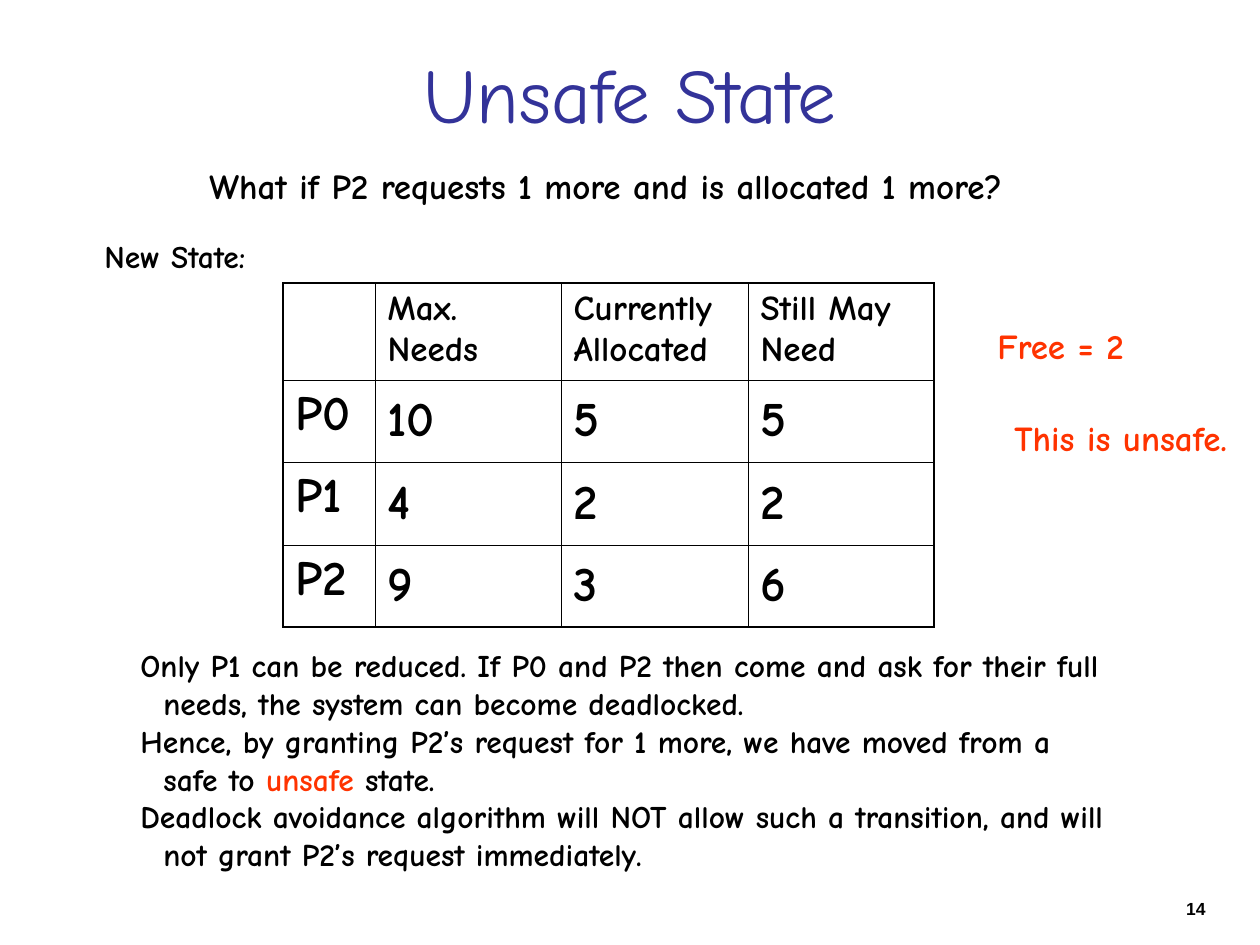
from lxml import etree
from pptx import Presentation
from pptx.dml.color import RGBColor
from pptx.enum.text import MSO_ANCHOR, MSO_AUTO_SIZE, PP_ALIGN
from pptx.oxml.ns import qn
from pptx.util import Pt

LEFT, CENTER, RIGHT = PP_ALIGN.LEFT, PP_ALIGN.CENTER, PP_ALIGN.RIGHT
TOP, MIDDLE = MSO_ANCHOR.TOP, MSO_ANCHOR.MIDDLE
GROW, FIXED = MSO_AUTO_SIZE.SHAPE_TO_FIT_TEXT, MSO_AUTO_SIZE.NONE

EMU_PER_PIXEL = 914400 / 126
COMIC = "Comic Neue"
BLACK, INDIGO, ORANGE = "000000", "333399", "FF3300"
OUTER_WIDTH, INNER_WIDTH = 1.08, 0.45

STATE_ROWS = [
    ["", "Max. Needs", "Currently Allocated", "Still May Need"],
    ["P0", "10", "5", "5"],
    ["P1", "4", "2", "2"],
    ["P2", "9", "3", "6"],
]
COLUMN_WIDTHS = [92, 186, 187, 186]
ROW_HEIGHTS = [97, 82, 83, 82]

# Each line holds its indent and its (text, colour) runs.
CONCLUSION = [
    (0, [("Only P1 can be reduced. If P0 and P2 then come and ask for their full", BLACK)]),
    (23, [("needs, the system can become deadlocked.", BLACK)]),
    (0, [("Hence, by granting P2’s request for 1 more, we have moved from a", BLACK)]),
    (23, [("safe to ", BLACK), ("unsafe", ORANGE), (" state.", BLACK)]),
    (0, [("Deadlock avoidance algorithm will NOT allow such a transition, and will", BLACK)]),
    (23, [("not grant P2’s request immediately.", BLACK)]),
]


def px(pixels):
    """Turn pixels into EMU."""
    return round(pixels * EMU_PER_PIXEL)


def rgb(hex_color):
    """Turn a hex string into a colour."""
    return RGBColor.from_string(hex_color)


def set_attributes(target, values):
    """Set every attribute named in a dict."""
    for name, value in values.items():
        setattr(target, name, value)


def add_run(paragraph, text, size, color=BLACK, font=COMIC, bold=True):
    """Append one formatted run."""
    run = paragraph.add_run()
    run.text = text
    set_attributes(run.font, {"size": Pt(size), "name": font, "bold": bold})
    run.font.color.rgb = rgb(color)


def add_label(slide, box, lines, size, wrap=False, align=LEFT, font=COMIC):
    """Add a text box with one paragraph for each indented line."""
    frame = slide.shapes.add_textbox(*map(px, box)).text_frame
    set_attributes(frame, {"word_wrap": wrap, "auto_size": FIXED if wrap else GROW,
                           "vertical_anchor": TOP})
    for index, (indent, runs) in enumerate(lines):
        paragraph = frame.add_paragraph() if index else frame.paragraphs[0]
        paragraph.alignment = align
        if indent:
            paragraph._p.get_or_add_pPr().set("marL", str(px(indent)))
        for text, color in runs:
            add_run(paragraph, text, size, color, font)


def set_title(slide, text):
    """Place and format the title placeholder."""
    title = slide.shapes.title
    set_attributes(title, dict(zip(("left", "top", "width", "height"),
                                   map(px, (63, 38, 1134, 110)))))
    title.text_frame.vertical_anchor = MIDDLE
    paragraph = title.text_frame.paragraphs[0]
    paragraph.alignment = CENTER
    add_run(paragraph, text, 44, INDIGO, bold=False)


def set_borders(cell, outer_sides):
    """Draw the four cell borders, heavier on the table's outside."""
    properties = cell._tc.get_or_add_tcPr()
    for side in "LRTB":
        width = OUTER_WIDTH if side in outer_sides else INNER_WIDTH
        line = etree.SubElement(properties, qn(f"a:ln{side}"), w=str(Pt(width)))
        fill = etree.SubElement(line, qn("a:solidFill"))
        etree.SubElement(fill, qn("a:srgbClr"), val=BLACK)


def add_state_table(slide):
    """Add the table of needs and allocations."""
    last_row, last_column = len(STATE_ROWS) - 1, len(COLUMN_WIDTHS) - 1
    table = slide.shapes.add_table(
        len(STATE_ROWS), len(COLUMN_WIDTHS), px(283), px(283),
        px(sum(COLUMN_WIDTHS)), px(sum(ROW_HEIGHTS))).table
    set_attributes(table, {"first_row": False, "horz_banding": False})
    for column, width in zip(table.columns, COLUMN_WIDTHS):
        column.width = px(width)
    for row, height in zip(table.rows, ROW_HEIGHTS):
        row.height = px(height)
    for r, values in enumerate(STATE_ROWS):
        for c, value in enumerate(values):
            cell = table.cell(r, c)
            edges = {"L": c == 0, "R": c == last_column, "T": r == 0, "B": r == last_row}
            set_borders(cell, {side for side, outside in edges.items() if outside})
            cell.fill.background()
            cell.vertical_anchor = MIDDLE if r and c else TOP
            if value:
                paragraph = cell.text_frame.paragraphs[0]
                paragraph.space_before = Pt(7 if r else 5)
                add_run(paragraph, value, 28 if r else 20)


def main():
    """Build the slide and save it."""
    deck = Presentation()
    set_attributes(deck, {"slide_width": px(1260), "slide_height": px(945)})
    slide = deck.slides.add_slide(deck.slide_layouts[5])
    add_label(slide, (913, 892, 305, 32), [(0, [("14", BLACK)])], 10,
              wrap=True, align=RIGHT, font="Arial")
    set_title(slide, "Unsafe State")
    add_state_table(slide)
    add_label(slide, (128, 640, 1013, 277), CONCLUSION, 18, wrap=True)
    for box, text, size, color in [
        ((197, 158, 823, 55), "What if P2 requests 1 more and is allocated 1 more?", 20, BLACK),
        ((92, 231, 168, 50), "New State:", 18, BLACK),
        ((985, 318, 152, 55), "Free = 2", 20, ORANGE),
        ((1002, 410, 238, 55), "This is unsafe.", 20, ORANGE),
    ]:
        add_label(slide, box, [(0, [(text, color)])], size)
    deck.save("out.pptx")


main()
